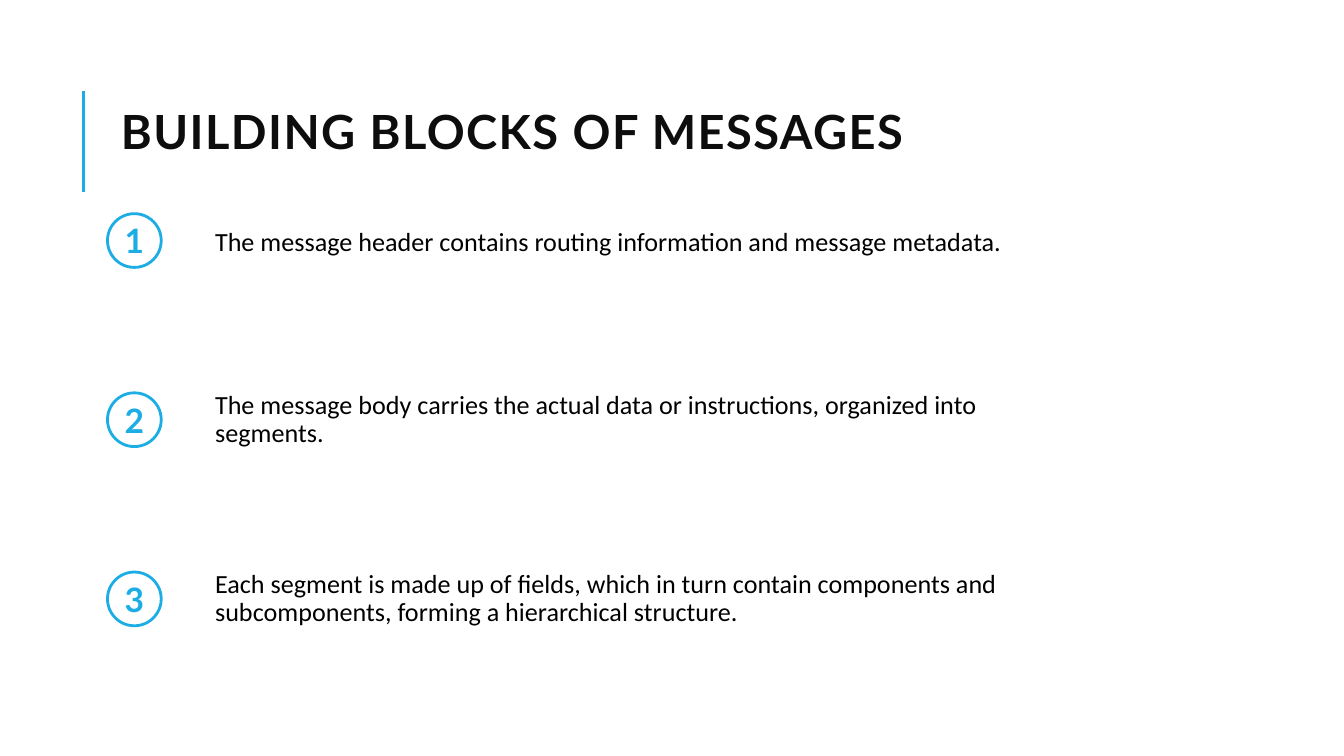
import pptx
import pptx.util
import pptx.dml.color
import pptx.enum.shapes
import pptx.enum.text
import pptx.oxml

Inches = pptx.util.Inches
Pt = pptx.util.Pt
Align = pptx.enum.text.PP_ALIGN
colors = {"blue": "1CADE4", "dark": "0D0D0D", "black": "000000"}


def tint(name):
    return pptx.dml.color.RGBColor.from_string(colors[name])


def write(shape, text, font, size, color, bold, align, side=0.1):
    frame = shape.text_frame
    frame.word_wrap = True
    frame.auto_size = pptx.enum.text.MSO_AUTO_SIZE.NONE
    frame.vertical_anchor = pptx.enum.text.MSO_ANCHOR.MIDDLE
    frame.margin_left = frame.margin_right = Inches(side)
    frame.margin_top = frame.margin_bottom = Inches(0.1)
    para = frame.paragraphs[0]
    para.alignment = align
    para.space_before = Pt(0)
    run = para.add_run()
    run.text = text
    run.font.name = font
    run.font.size = Pt(size)
    run.font.bold = bold
    run.font.color.rgb = tint(color)
    return para


deck = pptx.Presentation()
deck.slide_width = Inches(10)
deck.slide_height = Inches(10 * 9 / 16)
slide = deck.slides.add_slide(deck.slide_layouts[4])
shapes = slide.shapes
holders = slide.placeholders

rule = shapes.add_connector(
    pptx.enum.shapes.MSO_CONNECTOR.STRAIGHT,
    Inches(0.62), Inches(1.43), Inches(0.62), Inches(0.68))
rule.line.color.rgb = tint("blue")
rule.line.width = Pt(1.5)
rule._element.spPr.append(pptx.oxml.parse_xml(
    '<a:effectLst xmlns:a="http://schemas.openxmlformats.org/drawingml/2006/main"/>'))

title = shapes.title
title.left, title.top = Inches(0.8), Inches(0.7)
title.width, title.height = Inches(9), Inches(0.63)
para = write(title, "BUILDING BLOCKS OF MESSAGES", "Lato", 25.2, "dark", True, Align.LEFT)
para.line_spacing = 0.8
para.runs[0].font._element.set("spc", "80")

points = [
    ("The message header contains routing information and message metadata.", 1.05),
    ("The message body carries the actual data or instructions, organized into segments.", 0.9),
    ("Each segment is made up of fields, which in turn contain components and "
     "subcomponents, forming a hierarchical structure.", 0.9),
]
step = 4 / 3
for row, (text, lead) in enumerate(points):
    body = holders[row + 1]
    body.left, body.top = Inches(1.5), Inches(1.25 + row * step)
    body.width, body.height = Inches(6.5), Inches(1.08)
    para = write(body, text, "Calibri", 14, "black", False, Align.LEFT)
    props = para._p.get_or_add_pPr()
    props.set("marL", "0")
    props.set("indent", "0")
    props.append(pptx.oxml.parse_xml(
        '<a:buNone xmlns:a="http://schemas.openxmlformats.org/drawingml/2006/main"/>'))
    para.line_spacing = lead
    para.space_after = Pt(10)

    badge = shapes.add_shape(
        pptx.enum.shapes.MSO_SHAPE.OVAL,
        Inches(0.8), Inches(1.59 + row * step), Inches(0.4), Inches(0.4))
    badge.shadow.inherit = False
    badge.fill.background()
    badge.line.color.rgb = tint("blue")
    badge.line.width = Pt(1.5)
    write(badge, str(row + 1), "Lato", 18, "blue", True, Align.CENTER, 0)

spare = holders[4]._element
spare.getparent().remove(spare)

deck.save("out.pptx")
